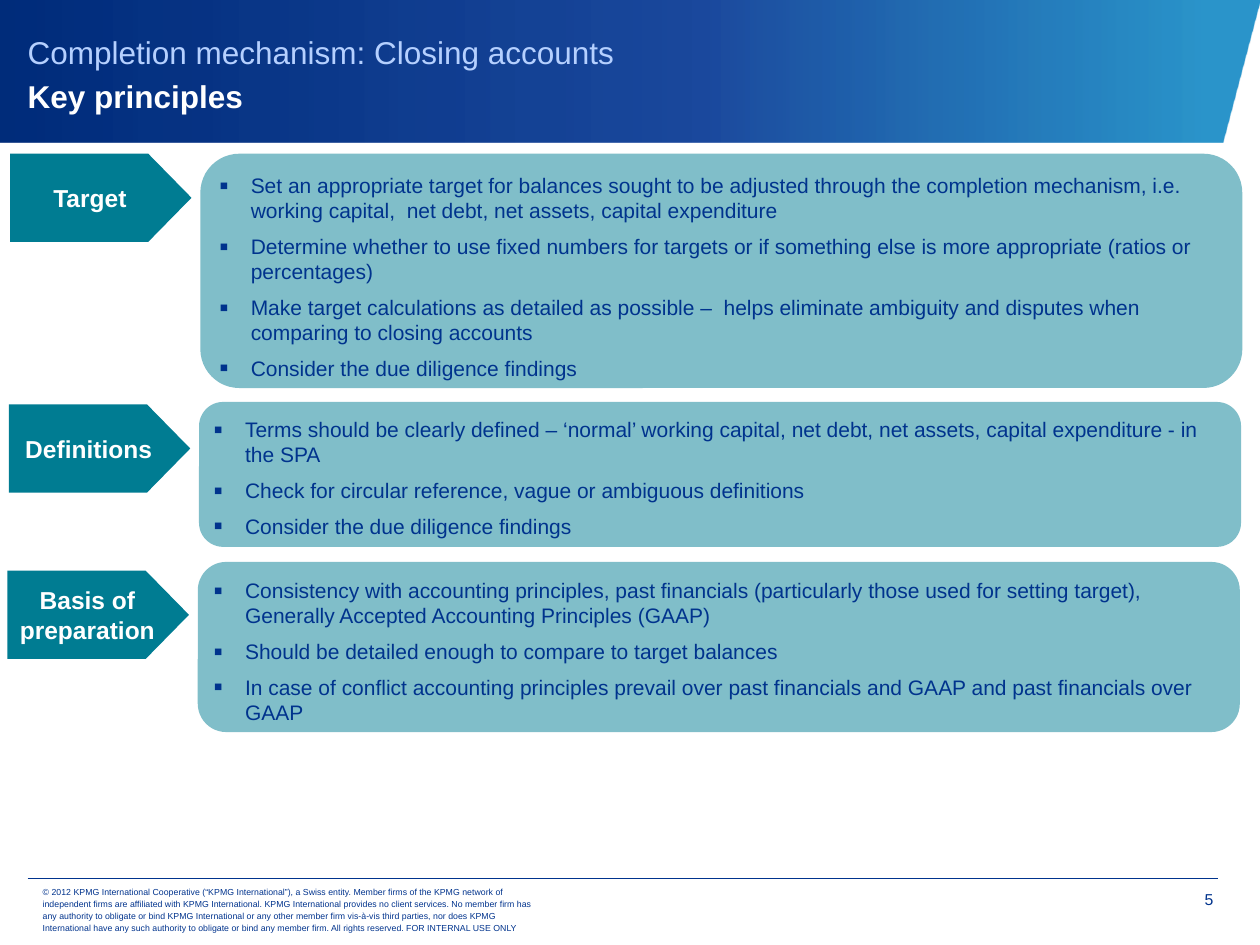
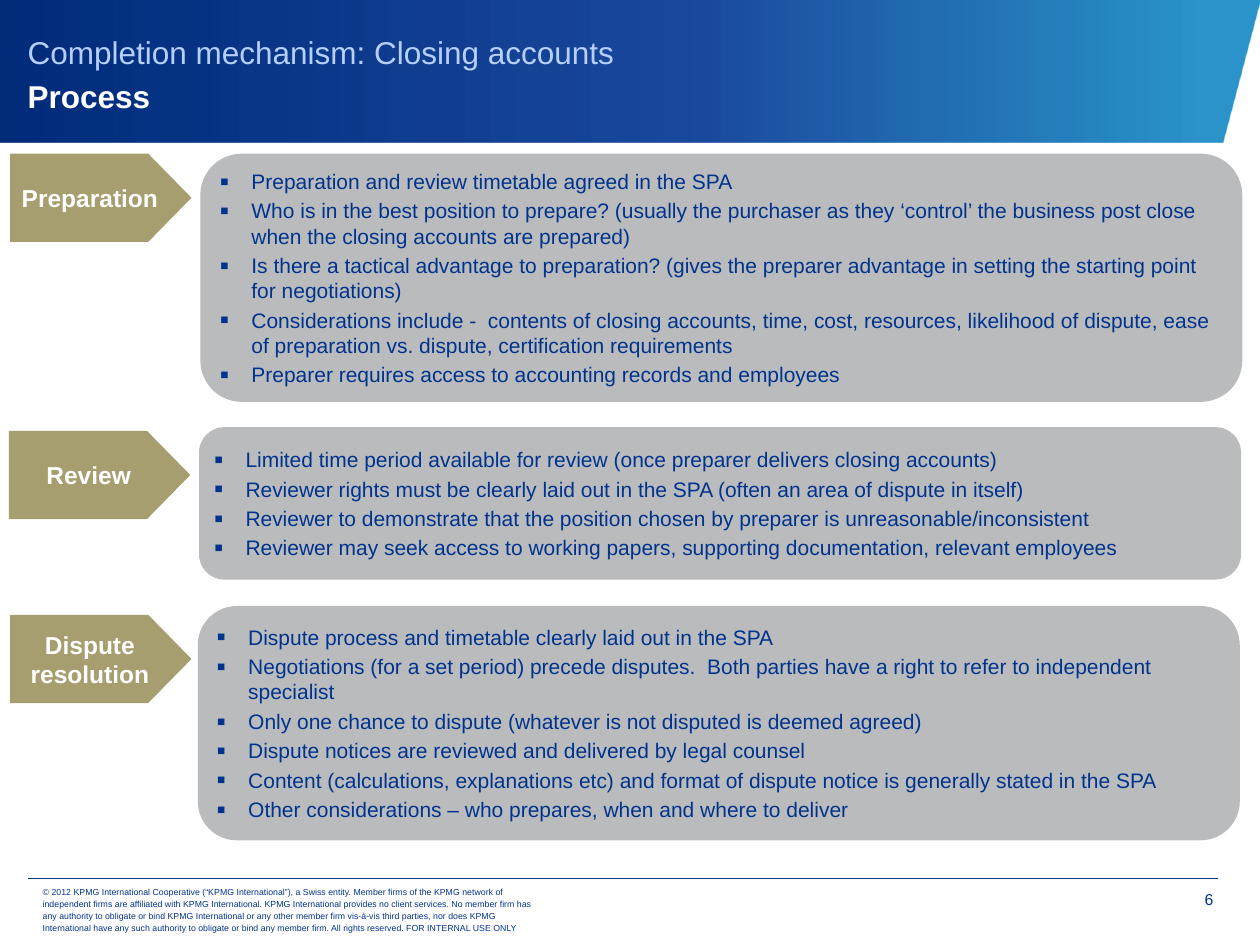
from dataclasses import dataclass

from lxml import etree
from pptx import Presentation
from pptx.dml.color import RGBColor
from pptx.enum.shapes import MSO_CONNECTOR, MSO_SHAPE
from pptx.enum.text import MSO_ANCHOR, PP_ALIGN
from pptx.oxml import parse_xml
from pptx.oxml.ns import nsdecls, qn
from pptx.util import Inches, Pt

ROUND, ARROW = MSO_SHAPE.ROUNDED_RECTANGLE, MSO_SHAPE.PENTAGON
LINE = MSO_CONNECTOR.STRAIGHT
TOP, MIDDLE = MSO_ANCHOR.TOP, MSO_ANCHOR.MIDDLE
LEFT, RIGHT, CENTER = PP_ALIGN.LEFT, PP_ALIGN.RIGHT, PP_ALIGN.CENTER


@dataclass
class Theme:
    face: str = "Arial"
    navy: str = "00338D"
    white: str = "FFFFFF"
    pale: str = "B5D0FF"
    teal: str = "007C92"
    aqua: str = "80BEC9"
    sand: str = "A79E70"
    gray: str = "BABBBC"
    # Band stops: position, colour, opacity (percent), from right to left
    band: tuple = ((4, "0080C0", 83), (44, "003492", 89), (100, "002C7A", 100))
    title: int = 18
    label: int = 14
    body: int = 12
    page: int = 9
    legal: int = 5


theme = Theme()

HEAD = "Completion mechanism: Closing accounts"
LEGAL = (
    "© 2012 KPMG International Cooperative (“KPMG International”), a Swiss entity. "
    "Member firms of the KPMG network of independent firms are affiliated with KPMG "
    "International. KPMG International provides no client services. No member firm has "
    "any authority to obligate or bind KPMG International or any other member firm "
    "vis-à-vis third parties, nor does KPMG International have any such authority to "
    "obligate or bind any member firm. All rights reserved. FOR INTERNAL USE ONLY"
)

# Each row: label, arrow left and top, panel top and height, points
PAGES = [
    {
        "name": "Key principles", "page": 5,
        "dark": theme.teal, "light": theme.aqua,
        "anchor": TOP, "before": 3, "after": 3,
        "rows": [
            ("Target", 0.08, 1.22, 1.22, 1.86, [
                "Set an appropriate target for balances sought to be adjusted through the "
                "completion mechanism, i.e. working capital,  net debt, net assets, capital "
                "expenditure",
                "Determine whether to use fixed numbers for targets or if something else is "
                "more appropriate (ratios or percentages)",
                "Make target calculations as detailed as possible –  helps eliminate "
                "ambiguity and disputes when comparing to closing accounts",
                "Consider the due diligence findings",
            ]),
            ("Definitions", 0.07, 3.21, 3.19, 1.15, [
                "Terms should be clearly defined – ‘normal’ working capital, net debt, net "
                "assets, capital expenditure - in the SPA",
                "Check for circular reference, vague or ambiguous definitions",
                "Consider the due diligence findings",
            ]),
            ("Basis of preparation", 0.06, 4.53, 4.46, 1.35, [
                "Consistency with accounting principles, past financials (particularly those "
                "used for setting target), Generally Accepted Accounting Principles (GAAP)",
                "Should be detailed enough to compare to target balances",
                "In case of conflict accounting principles prevail over past financials and "
                "GAAP and past financials over GAAP",
            ]),
        ],
    },
    {
        "name": "Process", "page": 6,
        "dark": theme.sand, "light": theme.gray,
        "anchor": MIDDLE, "before": 2.4, "after": 0,
        "rows": [
            ("Preparation", 0.08, 1.22, 1.22, 1.97, [
                "Preparation and review timetable agreed in the SPA",
                "Who is in the best position to prepare? (usually the purchaser as they "
                "‘control’ the business post close when the closing accounts are prepared)",
                "Is there a tactical advantage to preparation? (gives the preparer advantage "
                "in setting the starting point for negotiations)",
                "Considerations include -  contents of closing accounts, time, cost, "
                "resources, likelihood of dispute, ease of preparation vs. dispute, "
                "certification requirements",
                "Preparer requires access to accounting records and employees",
            ]),
            ("Review", 0.07, 3.42, 3.39, 1.21, [
                "Limited time period available for review (once preparer delivers closing "
                "accounts)",
                "Reviewer rights must be clearly laid out in the SPA (often an area of "
                "dispute in itself)",
                "Reviewer to demonstrate that the position chosen by preparer is "
                "unreasonable/inconsistent",
                "Reviewer may seek access to working papers, supporting documentation, "
                "relevant employees",
            ]),
            ("Dispute resolution", 0.08, 4.88, 4.81, 1.86, [
                "Dispute process and timetable clearly laid out in the SPA",
                "Negotiations (for a set period) precede disputes.  Both parties have a "
                "right to refer to independent specialist",
                "Only one chance to dispute (whatever is not disputed is deemed agreed)",
                "Dispute notices are reviewed and delivered by legal counsel",
                "Content (calculations, explanations etc) and format of dispute notice is "
                "generally stated in the SPA",
                "Other considerations – who prepares, when and where to deliver",
            ]),
        ],
    },
]


def add_box(slide, area, kind=None, fill=None, pads=(0.06,) * 4, anchor=MIDDLE):
    """Add a text box, or a filled shape if a kind is given."""
    area = [Inches(n) for n in area]
    if kind is None:
        box = slide.shapes.add_textbox(*area)
    else:
        box = slide.shapes.add_shape(kind, *area)
        box.shadow.inherit = False
        box.fill.solid()
        box.fill.fore_color.rgb = RGBColor.from_string(fill)
        box.line.fill.background()
    frame = box.text_frame
    frame.word_wrap = True
    frame.vertical_anchor = anchor
    (frame.margin_left, frame.margin_top,
     frame.margin_right, frame.margin_bottom) = [Inches(n) for n in pads]
    return box


def set_font(para, size, color, bold=False, align=LEFT):
    para.alignment = align
    font = para.font
    font.name, font.size, font.bold = theme.face, Pt(size), bold
    font.color.rgb = RGBColor.from_string(color)


deck = Presentation()
deck.slide_width, deck.slide_height = Inches(10), Inches(7.5)

for page in PAGES:
    slide = deck.slides.add_slide(deck.slide_layouts[6])

    # Title band
    path = slide.shapes.build_freeform(0, Inches(1.13))
    path.add_line_segments(
        [(Inches(x), Inches(y)) for x, y in ((9.7, 1.13), (10, 0), (0, 0))])
    band = path.convert_to_shape()
    band.shadow.inherit = False
    band.line.fill.background()
    band.fill.gradient()
    band.fill.gradient_angle = 180
    stops = "".join(
        f'<a:gs pos="{pos * 1000}"><a:srgbClr val="{color}">'
        f'<a:alpha val="{alpha * 1000}"/></a:srgbClr></a:gs>'
        for pos, color, alpha in theme.band)
    grad = band._element.spPr.find(qn("a:gradFill"))
    grad.replace(grad.find(qn("a:gsLst")),
                 parse_xml(f'<a:gsLst {nsdecls("a")}>{stops}</a:gsLst>'))

    # Footer: legal line, page number and rule
    legal = add_box(slide, (0.24, 7.04, 4.15, 0.35), pads=(0.1, 0.05, 0.1, 0.05))
    para = legal.text_frame.paragraphs[0]
    para.text = LEGAL
    para.line_spacing = Pt(7)
    set_font(para, theme.legal, theme.navy)

    number = add_box(slide, (9.08, 6.98, 0.55, 0.31), pads=(0.08, 0.08, 0, 0), anchor=TOP)
    para = number.text_frame.paragraphs[0]
    para.text = str(page["page"])
    set_font(para, theme.page, theme.navy, align=RIGHT)

    rule = slide.shapes.add_connector(
        LINE, Inches(0.22), Inches(6.97), Inches(9.67), Inches(6.97))
    rule.line.color.rgb = RGBColor.from_string(theme.navy)
    rule.line.width = Pt(0.25)
    etree.SubElement(rule._element.spPr, qn("a:effectLst"))

    # Title in two lines
    title = add_box(slide, (0.22, 0.13, 9.35, 0.87), pads=(0,) * 4)
    para = title.text_frame.paragraphs[0]
    para.line_spacing = Pt(25)
    set_font(para, theme.title, theme.pale)
    para.add_run().text = HEAD
    para.add_line_break()
    run = para.add_run()
    run.text = page["name"]
    run.font.bold = True
    run.font.color.rgb = RGBColor.from_string(theme.white)

    # Rows: a panel of points and its arrow label
    for i, (label, left, top, start, height, points) in enumerate(page["rows"]):
        panel = add_box(slide, (1.59 - 0.01 * i, start, 8.27, height),
                        ROUND, page["light"], anchor=page["anchor"])
        frame = panel.text_frame
        for j, point in enumerate(points):
            para = frame.add_paragraph() if j else frame.paragraphs[0]
            para.text = point
            props = para._p.get_or_add_pPr()
            props.set("marL", str(Inches(0.25)))
            props.set("indent", str(-Inches(0.25)))
            color = etree.SubElement(props, qn("a:buClr"))
            etree.SubElement(color, qn("a:srgbClr"), val=theme.navy)
            etree.SubElement(props, qn("a:buSzPct"), val="125000")
            etree.SubElement(props, qn("a:buFont"), typeface=theme.face)
            etree.SubElement(props, qn("a:buChar"), char="▪")
            para.space_before = Pt(page["before"] if j else 0)
            para.space_after = Pt(page["after"])
            set_font(para, theme.body, theme.navy)

        arrow = add_box(slide, (left, top, 1.44, 0.7), ARROW, page["dark"])
        arrow.adjustments[0] = 0.49
        para = arrow.text_frame.paragraphs[0]
        para.text = label
        set_font(para, theme.label, theme.white, bold=True, align=CENTER)

deck.save("out.pptx")
